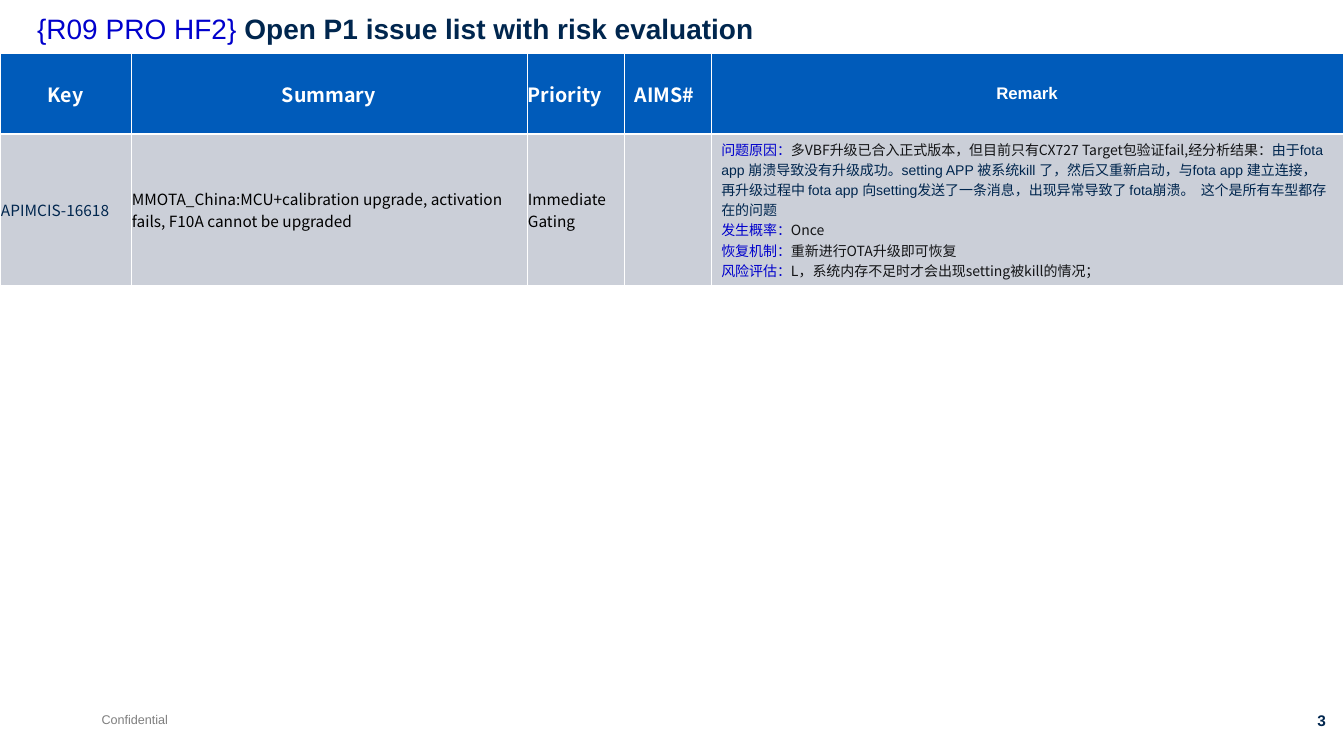
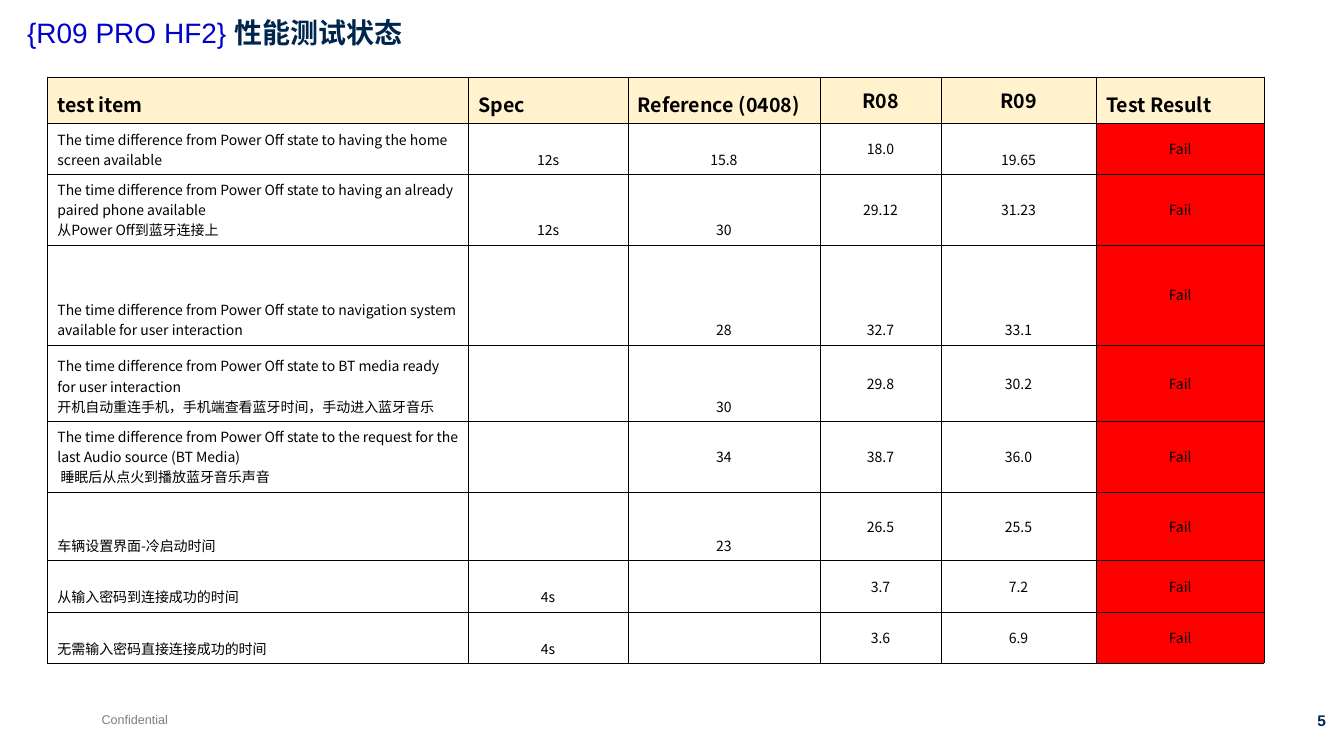
"""Build the issue list and performance test slides of the R09 PRO HF2 report."""
from typing import NamedTuple

from lxml.etree import SubElement
from pptx import Presentation
from pptx.dml.color import RGBColor
from pptx.enum.text import MSO_ANCHOR, PP_ALIGN
from pptx.oxml.ns import qn
from pptx.util import Inches, Pt

COLORS = {
    "white": "FFFFFF", "black": "000000", "ink": "131416", "navy": "00264E",
    "link": "0000CC", "gray": "7F7F7F", "header": "005BBA", "body": "CBCFD8",
    "cream": "FFF2CC", "fail": "FF0000",
}
LATIN, CJK = "Arial", "Noto Sans CJK SC"
ANCHORS = {"t": MSO_ANCHOR.TOP, "m": MSO_ANCHOR.MIDDLE, "b": MSO_ANCHOR.BOTTOM}
ALIGNMENTS = {"l": PP_ALIGN.LEFT, "c": PP_ALIGN.CENTER, "r": PP_ALIGN.RIGHT}


class Span(NamedTuple):
    text: str
    size: float = 10
    color: str = "black"
    font: str = CJK
    bold: bool = False


class CellStyle(NamedTuple):
    fill: str
    border: str
    widths: tuple[float, float, float, float]
    anchor: str = "m"
    align: str = "l"
    side_margin: float = 0.1


class IssueColumn(NamedTuple):
    width: float
    heading: Span
    align: str
    side_margin: float
    anchor: str
    paragraphs: list[list[Span]]


class TestColumn(NamedTuple):
    width: float
    heading: str
    heading_anchor: str
    heading_align: str
    align: str


class TestRow(NamedTuple):
    height: float
    values: tuple[str, str, str, str, str]
    anchors: str = "bbbmmm"


def heading(text: str) -> Span:
    return Span(text, 14, "white", CJK, True)


def remark(label: str, *details: Span) -> list[Span]:
    return [Span(label, color="link"), *details]


REMARKS = [
    remark(
        "问题原因：",
        Span("多VBF升级已合入正式版本，但目前只有CX727 Target包验证fail,经分析结果：", color="ink"),
        Span("由于fota app 崩溃导致没有升级成功。setting APP 被系统kill 了，然后又重新启动，"
             "与fota app 建立连接， 再升级过程中 fota app 向setting发送了一条消息，"
             "出现异常导致了 fota崩溃。  这个是所有车型都存在的问题", color="navy", font=LATIN),
    ),
    remark("发生概率：", Span("Once", color="ink")),
    remark("恢复机制：", Span("重新进行OTA升级即可恢复", color="ink")),
    remark("风险评估：", Span("L，系统内存不足时才会出现setting被kill的情况；", color="ink")),
]

ISSUE_COLUMNS = [
    IssueColumn(1.3, heading("Key"), "c", 0.01, "m", [[Span("APIMCIS-16618", 11, "navy")]]),
    IssueColumn(3.93, heading("Summary"), "c", 0.01, "m", [[Span(
        "MMOTA_China:MCU+calibration upgrade, activation fails, F10A cannot be upgraded", 11)]]),
    IssueColumn(0.97, heading("Priority"), "l", 0.01, "m", [[Span("Immediate Gating", 11)]]),
    IssueColumn(0.86, heading("AIMS#"), "l", 0.1, "m", []),
    IssueColumn(6.27, Span("Remark", 12, "white", LATIN, True), "c", 0.1, "t", REMARKS),
]
ISSUE_ROWS = [0.8, 1.5]

TEST_COLUMNS = [
    TestColumn(4.18, "test item", "b", "l", "l"),
    TestColumn(1.58, "Spec", "b", "l", "c"),
    TestColumn(1.91, "Reference (0408)", "b", "l", "c"),
    TestColumn(1.2, "R08", "m", "c", "c"),
    TestColumn(1.54, "R09", "m", "c", "c"),
    TestColumn(1.67, "Test Result", "b", "l", "c"),
]
TIME = "The time difference from Power Off state to "
TEST_ROWS = [
    TestRow(0.51, (TIME + "having the home screen available", "12s", "15.8", "18.0", "19.65"),
            "bbbmbm"),
    TestRow(0.7, (TIME + "having an already paired phone available\n从Power Off到蓝牙连接上",
                  "12s", "30", "29.12", "31.23")),
    TestRow(0.99, (TIME + "navigation system available for user interaction",
                   "", "28", "32.7", "33.1"), "bbbbbm"),
    TestRow(0.76, (TIME + "BT media ready for user interaction\n"
                   "开机自动重连手机，手机端查看蓝牙时间，手动进入蓝牙音乐", "", "30", "29.8", "30.2")),
    TestRow(0.7, (TIME + "the request for the last Audio source (BT Media)\n"
                  " 睡眠后从点火到播放蓝牙音乐声音", "", "34", "38.7", "36.0"), "bbmmmm"),
    TestRow(0.68, ("车辆设置界面-冷启动时间", "", "23", "26.5", "25.5")),
    TestRow(0.51, ("从输入密码到连接成功的时间", "4s", "", "3.7", "7.2")),
    TestRow(0.51, ("无需输入密码直接连接成功的时间", "4s", "", "3.6", "6.9")),
]


def add_span(paragraph, span: Span) -> None:
    for index, line in enumerate(span.text.split("\n")):
        if index:
            paragraph.add_line_break()
        run = paragraph.add_run()
        run.text = line
        run.font.size = Pt(span.size)
        run.font.bold = span.bold
        run.font.color.rgb = RGBColor.from_string(COLORS[span.color])
        run.font.name = span.font
        SubElement(run.font._element, qn("a:ea"), typeface=CJK)


def write(text_frame, paragraphs: list[list[Span]], align: str = "l",
          line_spacing: float = 1.0) -> None:
    for index, spans in enumerate(paragraphs):
        paragraph = text_frame.add_paragraph() if index else text_frame.paragraphs[0]
        paragraph.alignment = ALIGNMENTS[align]
        paragraph.line_spacing = line_spacing
        for span in spans:
            add_span(paragraph, span)


def add_text(slide, box: tuple[float, float, float, float], spans: list[Span],
             align: str = "l", line_spacing: float = 1.0) -> None:
    shape = slide.shapes.add_textbox(*map(Inches, box))
    shape.text_frame.word_wrap = True
    write(shape.text_frame, [spans], align, line_spacing)


def add_report_slide(presentation, left: float, top: float, title: str, number: str):
    slide = presentation.slides.add_slide(presentation.slide_layouts[6])
    add_text(slide, (0.91, 7.01, 1, 0.25), [Span("Confidential", 9, "gray", LATIN)])
    add_text(slide, (12.32, 7.01, 0.94, 0.29), [Span(number, 11, "navy", LATIN, True)], "r")
    add_text(slide, (left, top, 11.85, 0.63),
             [Span("{R09 PRO HF2} ", 20, "link", LATIN), Span(title, 20, "navy", LATIN, True)],
             line_spacing=0.9)
    return slide


def add_grid(slide, left: float, top: float, widths: list[float], heights: list[float]):
    frame = slide.shapes.add_table(
        len(heights), len(widths), Inches(left), Inches(top),
        Inches(sum(widths)), Inches(sum(heights)))
    table = frame.table
    table.first_row = table.horz_banding = False
    for column, width in zip(table.columns, widths):
        column.width = Inches(width)
    for row, height in zip(table.rows, heights):
        row.height = Inches(height)
    return table


def fill_cell(cell, paragraphs: list[list[Span]], style: CellStyle) -> None:
    properties = cell._tc.get_or_add_tcPr()
    for side, width in zip(("lnL", "lnR", "lnT", "lnB"), style.widths):
        line = SubElement(properties, qn(f"a:{side}"), w=str(Pt(width)))
        fill = SubElement(line, qn("a:solidFill"))
        SubElement(fill, qn("a:srgbClr"), val=COLORS[style.border])
    cell.fill.solid()
    cell.fill.fore_color.rgb = RGBColor.from_string(COLORS[style.fill])
    cell.margin_left = cell.margin_right = Inches(style.side_margin)
    cell.margin_top = cell.margin_bottom = Inches(0.05)
    cell.vertical_anchor = ANCHORS[style.anchor]
    write(cell.text_frame, paragraphs, style.align)


def add_issue_slide(presentation) -> None:
    slide = add_report_slide(
        presentation, 0.27, 0.1, "Open P1 issue list with risk evaluation", "3")
    table = add_grid(slide, 0, 0.53, [column.width for column in ISSUE_COLUMNS], ISSUE_ROWS)
    for index, column in enumerate(ISSUE_COLUMNS):
        fill_cell(table.cell(0, index), [[column.heading]], CellStyle(
            "header", "white", (0.45, 0.45, 0.45, 1.47), "m", column.align, column.side_margin))
        fill_cell(table.cell(1, index), column.paragraphs, CellStyle(
            "body", "white", (0.45, 0.45, 1.47, 0.45), column.anchor, "l", column.side_margin))


def add_test_slide(presentation) -> None:
    slide = add_report_slide(presentation, 0.17, 0.14, "性能测试状态", "5")
    table = add_grid(slide, 0.47, 0.77, [column.width for column in TEST_COLUMNS],
                     [0.45] + [row.height for row in TEST_ROWS])
    widths = (0.23,) * 4
    for index, column in enumerate(TEST_COLUMNS):
        fill_cell(table.cell(0, index), [[Span(column.heading, 14, bold=True)]], CellStyle(
            "cream", "black", widths, column.heading_anchor, column.heading_align))
        for number, row in enumerate(TEST_ROWS, 1):
            value = (*row.values, "Fail")[index]
            fill_cell(table.cell(number, index), [[Span(value)]] if value else [], CellStyle(
                "fail" if value == "Fail" else "white", "black", widths,
                row.anchors[index], column.align))


def main() -> None:
    presentation = Presentation()
    presentation.slide_width = Inches(13.34)
    presentation.slide_height = Inches(7.5)
    add_issue_slide(presentation)
    add_test_slide(presentation)
    presentation.save("out.pptx")


if __name__ == "__main__":
    main()
